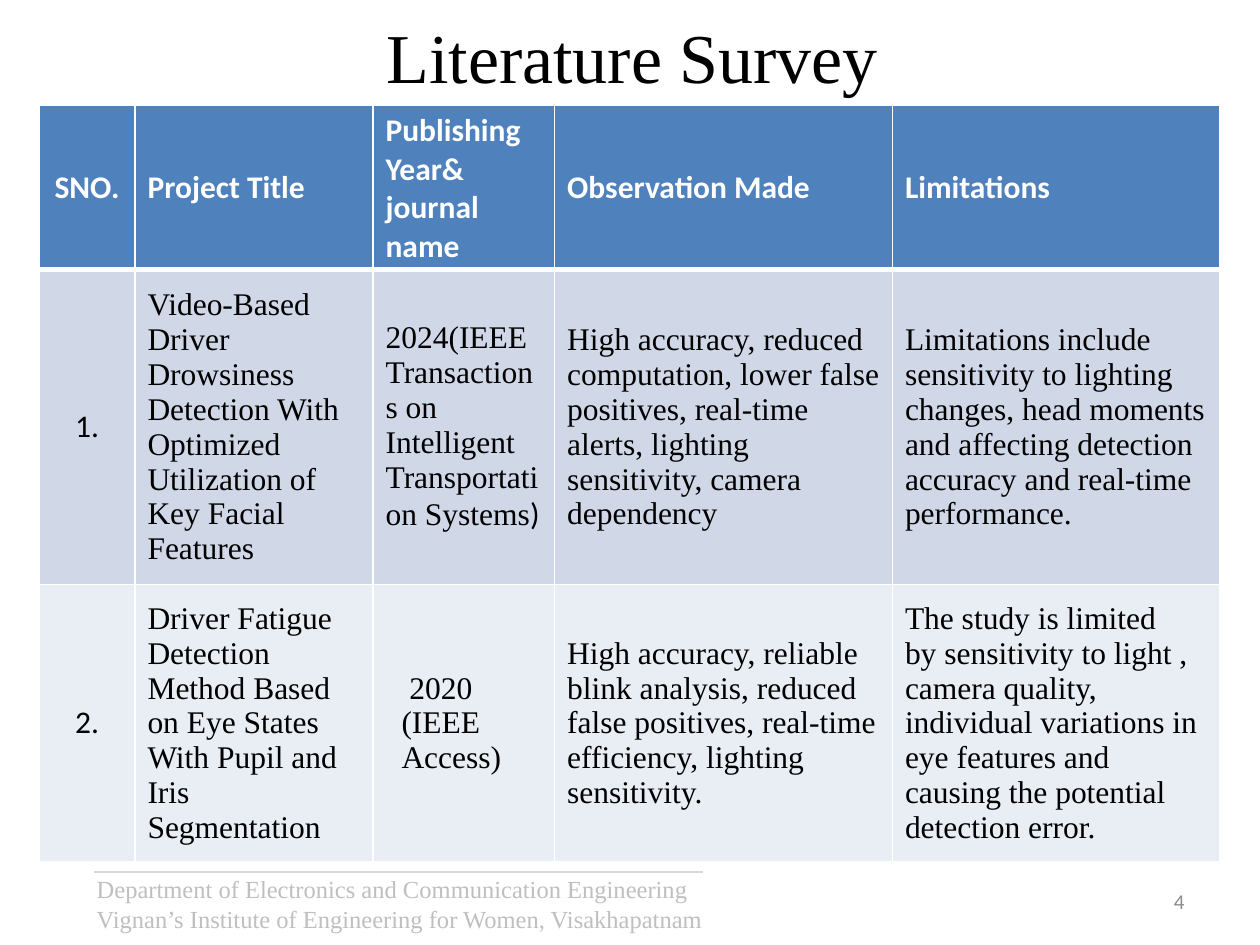
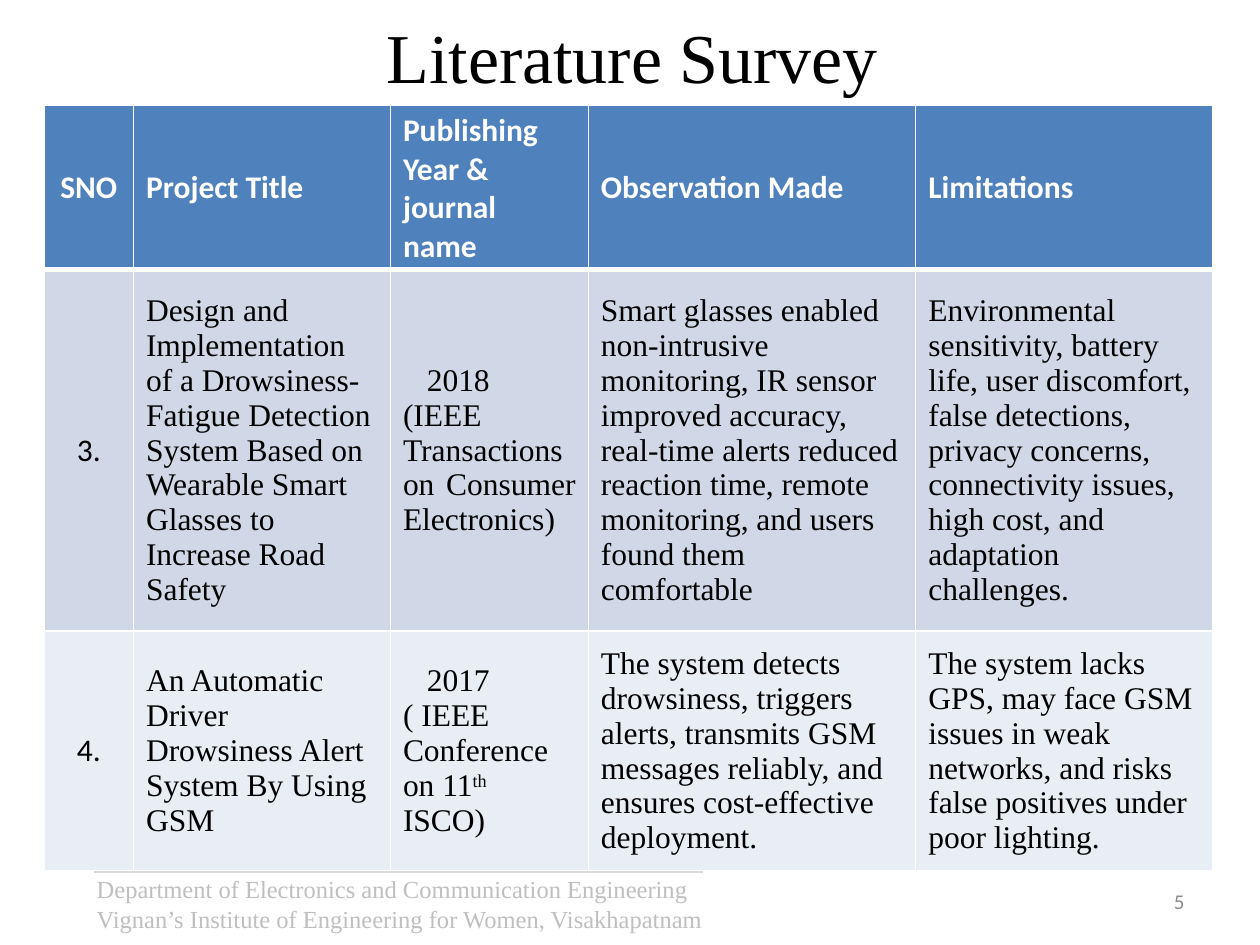
from dataclasses import dataclass

from lxml.etree import SubElement
from pptx import Presentation
from pptx.dml.color import RGBColor
from pptx.enum.shapes import MSO_CONNECTOR as Connector, MSO_SHAPE as Shape
from pptx.enum.text import MSO_ANCHOR as Anchor, PP_ALIGN as Align
from pptx.oxml.ns import qn
from pptx.util import Cm, Pt

COLOURS = {
    "white": "FFFFFF",
    "black": "000000",
    "header": "4F81BD",
    "odd_row": "D0D8E8",
    "even_row": "E9EDF4",
    "footer": "BFBFBF",
    "rule": "D9D9D9",
    "number": "8C8C8C",
}
SERIF, SANS = "Times New Roman", "Calibri"
FORMATS = {
    "title": ({"name": SERIF, "size": Pt(40)}, "black"),
    "header": ({"name": SANS, "size": Pt(18), "bold": True}, "white"),
    "serial": ({"name": SANS, "size": Pt(18), "bold": False}, "black"),
    "body": ({"name": SERIF, "size": Pt(18), "bold": False}, "black"),
    "footer": ({"name": SERIF, "size": Pt(14)}, "footer"),
    "number": ({"name": SANS, "size": Pt(12)}, "number"),
}
FOOTER = [
    "Department of Electronics and Communication Engineering",
    "Vignan’s Institute of Engineering for Women, Visakhapatnam",
]


@dataclass
class Line:
    """A paragraph made of (text, style, baseline) runs."""
    runs: list
    indent: float = 0
    align: Align = None


def indented(text, indent):
    """Return a body paragraph with a left indent in centimetres."""
    return Line([(text, "body", 0)], indent)


SURVEYS = [
    {
        "number": 4,
        "left": 0.79,
        "columns": [1.93, 4.8, 3.66, 6.81, 6.6],
        "heights": [3.15, 6.25, 5.49],
        "rows": [
            ["SNO.", "Project Title", "Publishing Year& journal name",
             "Observation Made", "Limitations"],
            ["1.",
             "Video-Based Driver Drowsiness Detection With Optimized "
             "Utilization of Key Facial Features",
             [Line([("2024(IEEE Transactions on Intelligent "
                     "Transportation Systems", "body", 0),
                    (")", "serial", 0)])],
             "High accuracy, reduced computation, lower false positives, "
             "real-time alerts, lighting sensitivity, camera dependency",
             "Limitations include sensitivity to lighting changes, head "
             "moments and affecting detection accuracy and real-time "
             "performance."],
            ["2.",
             "Driver Fatigue Detection Method Based on Eye States With "
             "Pupil and Iris Segmentation",
             [indented("2020", 0.48), indented("(IEEE", 0.32),
              indented("Access)", 0.32)],
             "High accuracy, reliable blink analysis, reduced false "
             "positives, real-time efficiency, lighting sensitivity.",
             ["The study is limited",
              "by sensitivity to light , camera quality,",
              "individual variations in eye features and causing the "
              "potential detection error."]],
        ],
    },
    {
        "number": 5,
        "left": 0.89,
        "columns": [1.8, 5.18, 3.99, 6.6, 5.99],
        "heights": [3.23, 7.29, 4.7],
        "rows": [
            ["SNO", "Project Title", "Publishing Year & journal name",
             "Observation Made", "Limitations"],
            ["3.",
             "Design and Implementation of a Drowsiness-Fatigue Detection "
             "System Based on Wearable Smart Glasses to Increase Road Safety",
             [indented("2018", 0.48),
              Line([("(IEEE Transactions on Consumer Electronics)",
                     "body", 0)], align=Align.JUSTIFY)],
             "Smart glasses enabled non-intrusive monitoring, IR sensor "
             "improved accuracy, real-time alerts reduced reaction time, "
             "remote monitoring, and users found them comfortable",
             "Environmental sensitivity, battery life, user discomfort, "
             "false detections, privacy concerns, connectivity issues, "
             "high cost, and adaptation challenges."],
            ["4.",
             "An Automatic Driver Drowsiness Alert System By Using GSM",
             [indented("2017", 0.48), "( IEEE",
              Line([("Conference on 11", "body", 0), ("th", "body", 30000),
                    (" ISCO)", "body", 0)])],
             "The system detects drowsiness, triggers alerts, transmits GSM "
             "messages reliably, and ensures cost-effective deployment.",
             "The system lacks GPS, may face GSM issues in weak networks, "
             "and risks false positives under poor lighting."],
        ],
    },
]


class SurveyDeck:
    """Hold the deck style and the current slide."""

    def __init__(self):
        """Start an empty 4:3 presentation."""
        self.presentation = Presentation()
        self.presentation.slide_width = Cm(25.4)
        self.presentation.slide_height = Cm(19.05)
        self.slide = None

    def colour(self, name):
        """Return a named colour."""
        return RGBColor.from_string(COLOURS[name])

    def add_slide(self):
        """Begin a new blank slide."""
        layout = self.presentation.slide_layouts[6]
        self.slide = self.presentation.slides.add_slide(layout)

    def fill_text(self, frame, content, style, align=Align.LEFT):
        """Fill a text frame with styled paragraphs."""
        frame.word_wrap = True
        lines = [content] if isinstance(content, str) else content
        for index, line in enumerate(lines):
            if isinstance(line, str):
                line = Line([(line, style, 0)])
            paragraph = frame.add_paragraph() if index else frame.paragraphs[0]
            paragraph.alignment = line.align or align
            if line.indent:
                paragraph._p.get_or_add_pPr().set("marL", str(Cm(line.indent)))
            for text, run_style, baseline in line.runs:
                run = paragraph.add_run()
                run.text = text
                values, colour = FORMATS[run_style]
                for name, value in values.items():
                    setattr(run.font, name, value)
                run.font.color.rgb = self.colour(colour)
                if baseline:
                    run._r.get_or_add_rPr().set("baseline", str(baseline))

    def text(self, box, content, style, align):
        """Add a vertically centred text box."""
        shape = self.slide.shapes.add_textbox(*map(Cm, box))
        shape.text_frame.vertical_anchor = Anchor.MIDDLE
        self.fill_text(shape.text_frame, content, style, align)

    def footer(self, number):
        """Add the department footer, its rule and the slide number."""
        shape = self.slide.shapes.add_shape(
            Shape.RECTANGLE, Cm(1.7), Cm(17.58), Cm(16.51), Cm(1.27))
        shape.shadow.inherit = False
        shape.fill.background()
        shape.line.color.rgb = self.colour("white")
        shape.line.width = Pt(0.75)
        shape.text_frame.vertical_anchor = Anchor.MIDDLE
        self.fill_text(shape.text_frame, FOOTER, "footer")
        rule = self.slide.shapes.add_connector(
            Connector.STRAIGHT, Cm(1.9), Cm(17.58), Cm(14.17), Cm(17.58))
        rule.line.color.rgb = self.colour("rule")
        rule.line.width = Pt(0.75)
        SubElement(rule._element.spPr, qn("a:effectLst"))
        self.text((18.21, 17.65, 5.92, 1.02), str(number), "number", Align.RIGHT)

    def borders(self, cell, widths):
        """Draw white borders of the given widths around a cell."""
        properties = cell._tc.get_or_add_tcPr()
        for side, width in widths.items():
            line = SubElement(properties, qn(f"a:ln{side}"), w=str(Pt(width)))
            fill = SubElement(line, qn("a:solidFill"))
            SubElement(fill, qn("a:srgbClr"), val=COLOURS["white"])

    def table(self, left, columns, heights, rows):
        """Add a survey table with a header row."""
        table = self.slide.shapes.add_table(
            len(rows), len(columns), Cm(left), Cm(2.13),
            Cm(sum(columns)), Cm(sum(heights))).table
        for column, width in zip(table.columns, columns):
            column.width = Cm(width)
        for row, height in zip(table.rows, heights):
            row.height = Cm(height)
        fills = ["header", "odd_row", "even_row"]
        for row_index, row in enumerate(rows):
            widths = {"L": 1, "R": 1, "T": 3 if row_index == 1 else 1,
                      "B": 1 if row_index else 3}
            for column_index, content in enumerate(row):
                cell = table.cell(row_index, column_index)
                self.borders(cell, widths)
                cell.fill.solid()
                cell.fill.fore_color.rgb = self.colour(fills[row_index])
                cell.vertical_anchor = Anchor.MIDDLE
                first = column_index == 0
                style = "serial" if first else "body"
                self.fill_text(cell.text_frame, content,
                               style if row_index else "header",
                               Align.CENTER if first else Align.LEFT)


def main():
    """Build the survey slides and save them."""
    deck = SurveyDeck()
    for survey in SURVEYS:
        deck.add_slide()
        deck.footer(survey["number"])
        deck.text((1.32, -0.48, 22.86, 3.2), "Literature Survey", "title",
                  Align.CENTER)
        deck.table(survey["left"], survey["columns"], survey["heights"],
                   survey["rows"])
    deck.presentation.save("out.pptx")


if __name__ == "__main__":
    main()
